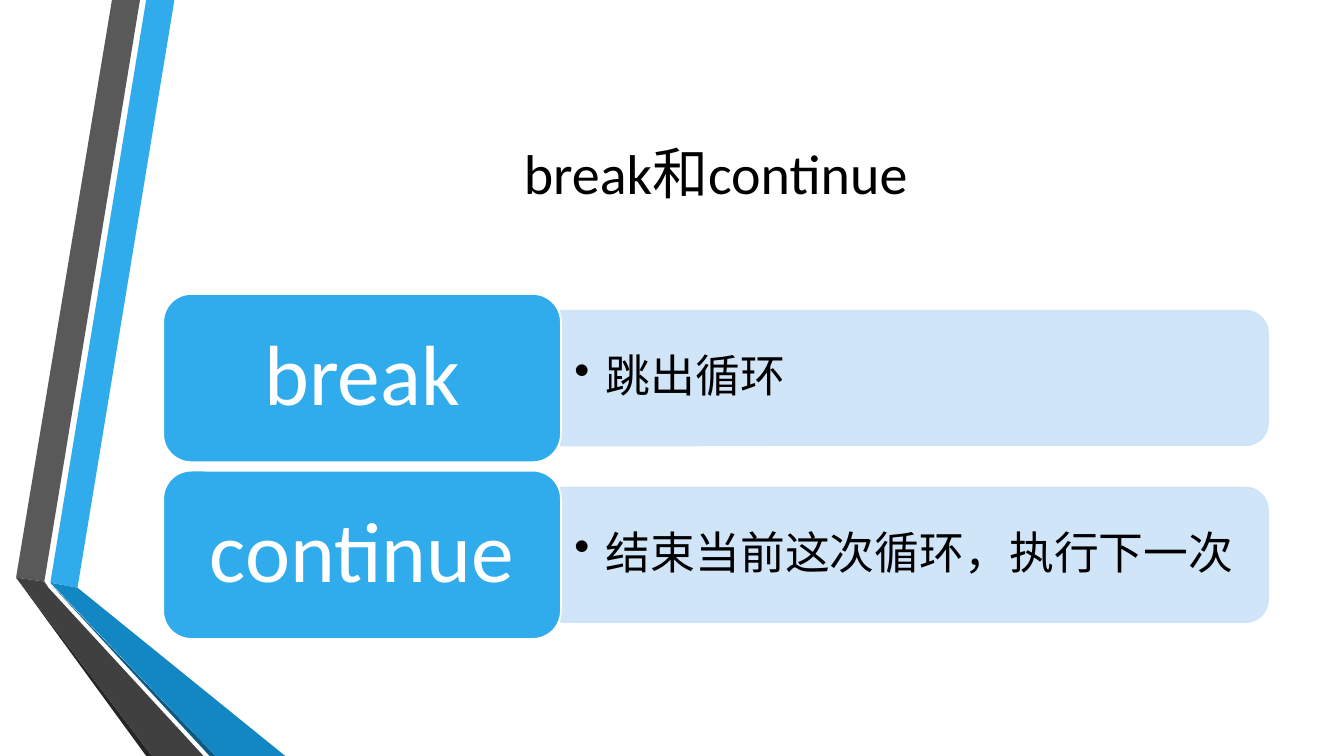
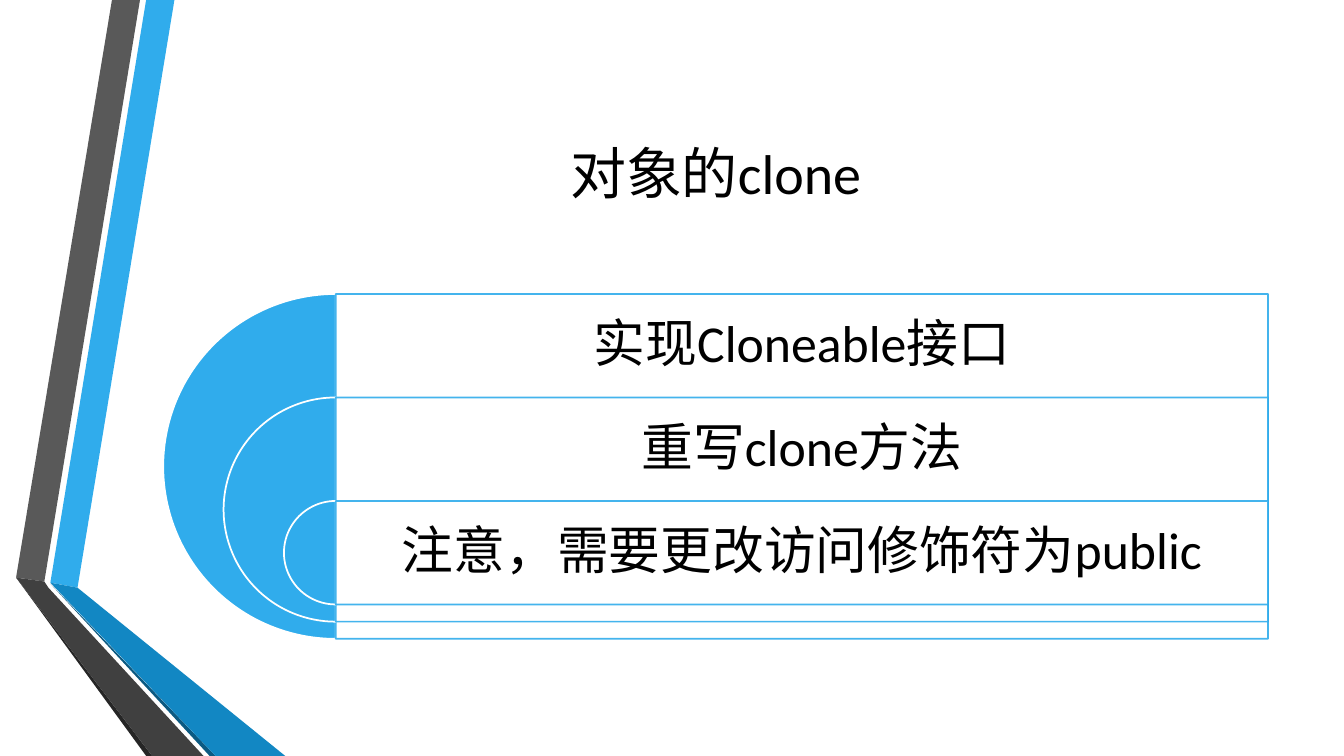
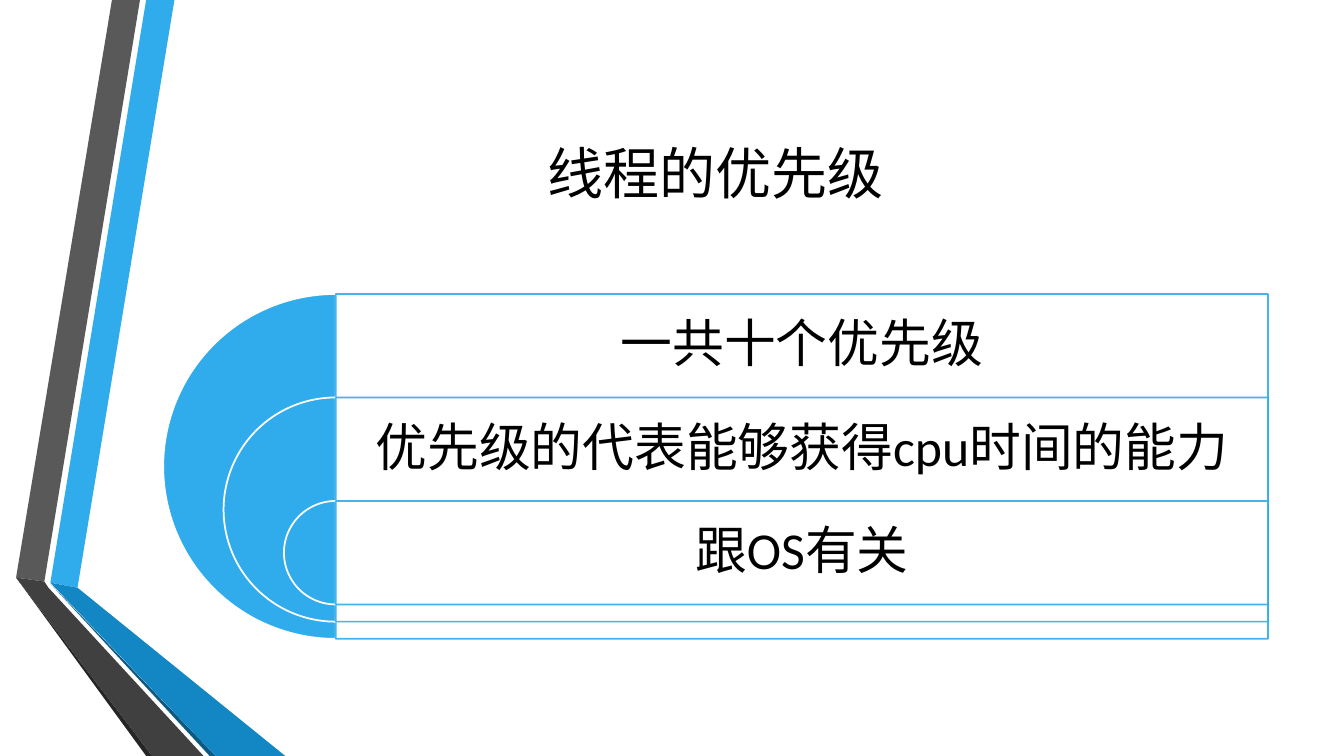
from lxml.etree import SubElement
from pptx import Presentation
from pptx.dml.color import RGBColor
from pptx.enum.shapes import MSO_SHAPE
from pptx.enum.text import MSO_ANCHOR, PP_ALIGN
from pptx.oxml.ns import qn
from pptx.util import Pt

BLUE, PALE_BLUE, WHITE, BLACK = "30ACEC", "CDE3F8", "FFFFFF", "000000"
FONT = "Calibri"

# Content area in points, shared by the title and the diagrams
LEFT, TOP, WIDTH, HEIGHT = 116.6, 210, 789.1, 246.4

RIBBONS = [
    (BLUE, [(36, 416.2), (55.4, 419.8), (124.6, 0), (104.4, 0)]),
    ("595959", [(100, 0), (80, 0), (11.5, 412.6), (31.7, 415.4)]),
    ("262626", [(11.5, 412.6), (104.4, 540), (108.7, 540)]),
    ("0C5A82", [(36, 416.9), (149.8, 540), (154.1, 540)]),
    ("1287C3", [(36, 416.2), (154.1, 540), (203.8, 540), (55.4, 419.8)]),
    ("404040", [(145.4, 540), (34.6, 419.8), (31.7, 415.4), (11.5, 412.6),
                (108.7, 540)]),
]

KEYWORDS = ("break和continue", [
    ("break", "跳出循环"),
    ("continue", "结束当前这次循环，执行下一次"),
])

TARGETS = [
    ("对象的clone",
     ["实现Cloneable接口", "重写clone方法", "注意，需要更改访问修饰符为public"]),
    ("线程的优先级",
     ["一共十个优先级", "优先级的代表能够获得cpu时间的能力", "跟OS有关"]),
]


def paint(shape, fill, line=None, opacity=100):
    """Fill and outline a shape, without shadow."""
    shape.shadow.inherit = False
    shape.fill.solid()
    shape.fill.fore_color.rgb = RGBColor.from_string(fill)
    if line:
        shape.line.color.rgb = RGBColor.from_string(line)
        shape.line.width = Pt(1.25)
    else:
        shape.line.fill.background()
    if opacity < 100:
        for color in shape.element.spPr.iter(qn("a:srgbClr")):
            SubElement(color, qn("a:alpha"), val=str(opacity * 1000))


def write(frame, text, size, color=BLACK, margins=(7.2, 3.6, 7.2, 3.6),
          spacing=0.9, bullet=False):
    """Set one vertically centred paragraph; margins are left, top, right, bottom."""
    frame.text = text
    frame.word_wrap = True
    frame.vertical_anchor = MSO_ANCHOR.MIDDLE
    (frame.margin_left, frame.margin_top,
     frame.margin_right, frame.margin_bottom) = [Pt(m) for m in margins]
    paragraph = frame.paragraphs[0]
    if bullet:
        properties = paragraph.element.get_or_add_pPr() if hasattr(
            paragraph, "element") else paragraph._p.get_or_add_pPr()
        properties.set("marL", str(Pt(22.5)))
        properties.set("indent", str(Pt(-22.5)))
        SubElement(properties, qn("a:buChar"), char="•")
    paragraph.alignment = PP_ALIGN.LEFT if bullet else PP_ALIGN.CENTER
    paragraph.line_spacing = spacing
    font = paragraph.runs[0].font
    font.name, font.size = FONT, Pt(size)
    font.color.rgb = RGBColor.from_string(color)


prs = Presentation()
prs.slide_width, prs.slide_height = Pt(960), Pt(540)

# Shared layout: title position and folded ribbons
layout = prs.slide_layouts.get_by_name("Title Only")
layout_title = layout.placeholders[0]
layout_title.left, layout_title.top = Pt(LEFT), Pt(54)
layout_title.width, layout_title.height = Pt(WIDTH), Pt(138.2)

keyword_slide = prs.slides.add_slide(layout)
for color, points in RIBBONS:
    corners = [(Pt(x), Pt(y)) for x, y in points]
    outline = keyword_slide.shapes.build_freeform(*corners[0], scale=1.0)
    outline.add_line_segments(corners[1:], close=True)
    ribbon = outline.convert_to_shape()
    paint(ribbon, color)
    layout.shapes.element.append(ribbon.element)  # moves it to the layout

# Slide 1: keyword cards with their meaning
title, keywords = KEYWORDS
write(keyword_slide.shapes.title.text_frame, title, 40, spacing=1.0)
card_width, card_height = WIDTH * 0.36, HEIGHT / 2.05
bar_left, bar_width, bar_height = LEFT + card_width, WIDTH * 0.64, card_height * 0.8
for i, (keyword, meaning) in enumerate(keywords):
    card_top = TOP + i * card_height * 1.05
    bar_top = card_top + (card_height - bar_height) / 2

    # The bar is upright before its quarter turn, about the same centre
    turn = (bar_width - bar_height) / 2
    bar = keyword_slide.shapes.add_shape(
        MSO_SHAPE.ROUND_2_SAME_RECTANGLE, Pt(bar_left + turn), Pt(bar_top - turn),
        Pt(bar_height), Pt(bar_width))
    bar.rotation = 90
    paint(bar, PALE_BLUE, PALE_BLUE, opacity=90)
    meaning_box = keyword_slide.shapes.add_textbox(
        Pt(bar_left), Pt(bar_top), Pt(bar_width), Pt(bar_height))
    write(meaning_box.text_frame, meaning, 32, margins=(9.6, 4.8, 9.6, 4.8),
          bullet=True)

    card = keyword_slide.shapes.add_shape(
        MSO_SHAPE.ROUNDED_RECTANGLE, Pt(LEFT), Pt(card_top),
        Pt(card_width), Pt(card_height))
    paint(card, BLUE, WHITE)
    write(card.text_frame, keyword, 61, WHITE)

# Slides 2 and 3: nested half circles with one row each
center, row_height = LEFT + HEIGHT / 2, HEIGHT * 0.3
for title, rows in TARGETS:
    slide = prs.slides.add_slide(layout)
    write(slide.shapes.title.text_frame, title, 40, spacing=1.0)
    for i, row in enumerate(rows):
        diameter = HEIGHT * (1 - 0.35 * i)
        top = TOP + i * row_height
        half_circle = slide.shapes.add_shape(
            MSO_SHAPE.PIE, Pt(center - diameter / 2), Pt(top),
            Pt(diameter), Pt(diameter))
        half_circle.adjustments[0], half_circle.adjustments[1] = 54, 162
        paint(half_circle, BLUE, WHITE)

        panel = slide.shapes.add_shape(
            MSO_SHAPE.RECTANGLE, Pt(center), Pt(top),
            Pt(LEFT + WIDTH - center), Pt(diameter))
        paint(panel, WHITE, BLUE, opacity=90)
        # The bottom margin keeps the text in the visible row
        write(panel.text_frame, row, 37,
              margins=(10.8, 10.8, 10.8, diameter - row_height + 10.8))

prs.save("out.pptx")
